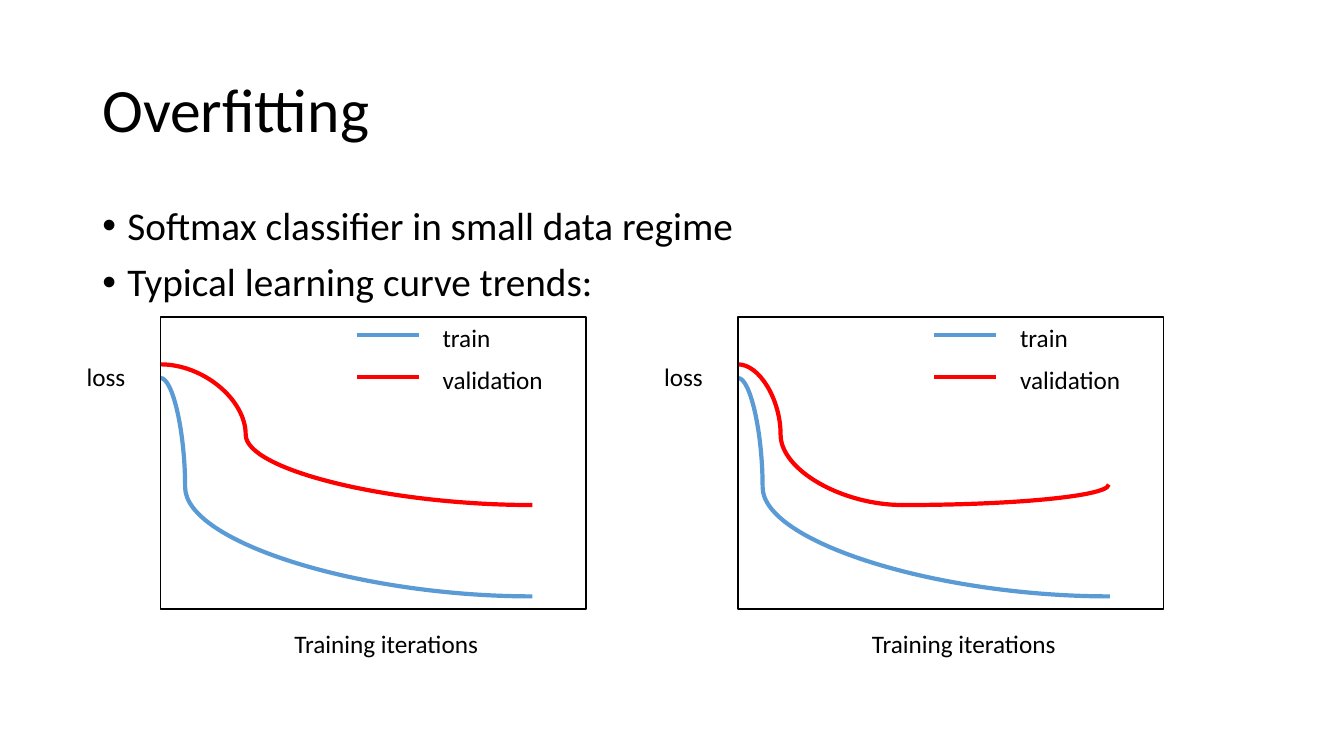
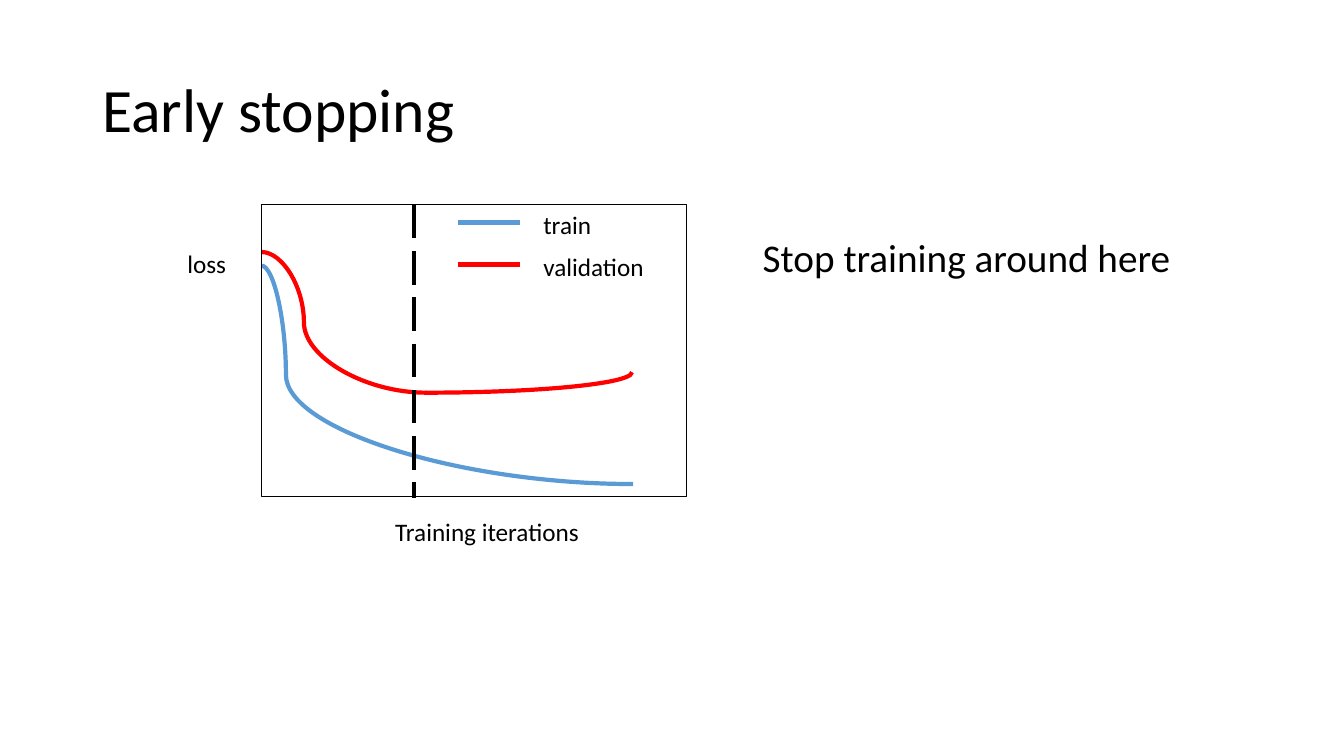
"""Build two slides on overfitting and early stopping with learning curve diagrams."""
import dataclasses

import lxml.etree
import pptx
import pptx.dml.color
import pptx.enum.dml
import pptx.enum.shapes
import pptx.enum.text
import pptx.oxml.ns
import pptx.util

PX = 9525


@dataclasses.dataclass(frozen=True)
class Theme:
    font: str = "Calibri"
    ink: str = "000000"
    train: str = "5B9BD5"
    validation: str = "FF0000"
    title_size: int = 44
    body_size: int = 28
    label_size: int = 18
    curve_width: int = 3
    frame_width: int = 1


theme = Theme()
qn = pptx.oxml.ns.qn
straight = pptx.enum.shapes.MSO_CONNECTOR.STRAIGHT
curved = pptx.enum.shapes.MSO_CONNECTOR.CURVE


def add_text(shapes, area, lines, size, bullet=False, spacing=1.0):
    box = shapes.add_textbox(*(value * PX for value in area))
    box.text_frame.word_wrap = True
    box.text_frame.text = "\n".join(lines)
    for index, para in enumerate(box.text_frame.paragraphs):
        if bullet:
            properties = para._p.get_or_add_pPr()
            properties.set("marL", str(24 * PX))
            properties.set("indent", str(-24 * PX))
            lxml.etree.SubElement(properties, qn("a:buFont")).set("typeface", "Arial")
            lxml.etree.SubElement(properties, qn("a:buChar")).set("char", "•")
        para.line_spacing = spacing
        if index:
            para.space_before = pptx.util.Pt(10)
        para.font.name = theme.font
        para.font.size = pptx.util.Pt(size)
        para.font.color.rgb = pptx.dml.color.RGBColor.from_string(theme.ink)
    return box


def add_line(shapes, kind, ends, color, bend=None):
    line = shapes.add_connector(kind, *(value * PX for value in ends))
    line.line.color.rgb = pptx.dml.color.RGBColor.from_string(color)
    line.line.width = pptx.util.Pt(theme.curve_width)
    properties = line._element.spPr
    lxml.etree.SubElement(properties, qn("a:effectLst"))
    if bend is not None:
        geometry = properties.find(qn("a:prstGeom"))
        guides = geometry.find(qn("a:avLst"))
        if guides is None:
            guides = lxml.etree.SubElement(geometry, qn("a:avLst"))
        guide = lxml.etree.SubElement(guides, qn("a:gd"))
        guide.set("name", "adj1")
        guide.set("fmla", f"val {bend * 1000}")
    return line


deck = pptx.Presentation()
deck.slide_width = 1280 * PX
deck.slide_height = 720 * PX

pages = []
for title in ("Overfitting", "Early stopping"):
    page = deck.slides.add_slide(deck.slide_layouts[6])
    box = add_text(page.shapes, (88, 38, 1104, 139), [title], theme.title_size, spacing=0.9)
    box.text_frame.vertical_anchor = pptx.enum.text.MSO_ANCHOR.MIDDLE
    pages.append(page)
overfitting, early_stopping = pages

bullets = ["Softmax classifier in small data regime", "Typical learning curve trends:"]
add_text(overfitting.shapes, (88, 192, 1104, 457), bullets, theme.body_size, bullet=True, spacing=0.9)

plots = [
    (overfitting, 153, 302, False),
    (overfitting, 703, 302, True),
    (early_stopping, 249, 195, True),
]
legend = [("train", theme.train, 0), ("validation", theme.validation, 40)]

for page, left, top, rises in plots:
    plot = page.shapes.add_group_shape().shapes
    add_line(plot, curved, (left, top + 58, left + 354, top + 266), theme.train, 6.6)
    width, bend = (157, 25.8) if rises else (354, 22.9)
    add_line(plot, curved, (left, top + 45, left + width, top + 179), theme.validation, bend)

    outlines = [("RECTANGLE", (left, top, 405, 278), theme.ink, theme.frame_width)]
    if rises:
        outlines.append(("ARC", (left - 40, top + 140, 393, 39), theme.validation, theme.curve_width))
    for kind, area, color, weight in outlines:
        outline = plot.add_shape(pptx.enum.shapes.MSO_SHAPE[kind], *(value * PX for value in area))
        outline.shadow.inherit = False
        outline.fill.background()
        outline.line.color.rgb = pptx.dml.color.RGBColor.from_string(color)
        outline.line.width = pptx.util.Pt(weight)
        if kind == "ARC":
            outline.adjustments[0] = 0
            outline.adjustments[1] = 54

    for name, color, drop in legend:
        level = top + 17 + drop
        add_line(plot, straight, (left + 187, level, left + 246, level), color)
        add_text(plot, (left + 259, top + drop, 116, 38), [name], theme.label_size)
    add_text(plot, (left + 118, top + 292, 222, 38), ["Training iterations"], theme.label_size)
    add_text(plot, (left - 80, top + 37, 79, 40), ["loss"], theme.label_size)

stop_line = add_line(early_stopping.shapes, straight, (394, 195, 394, 474), theme.ink)
stop_line.line.dash_style = pptx.enum.dml.MSO_LINE.LONG_DASH
add_text(early_stopping.shapes, (717, 217, 466, 55), ["Stop training around here"], theme.body_size)

deck.save("out.pptx")
